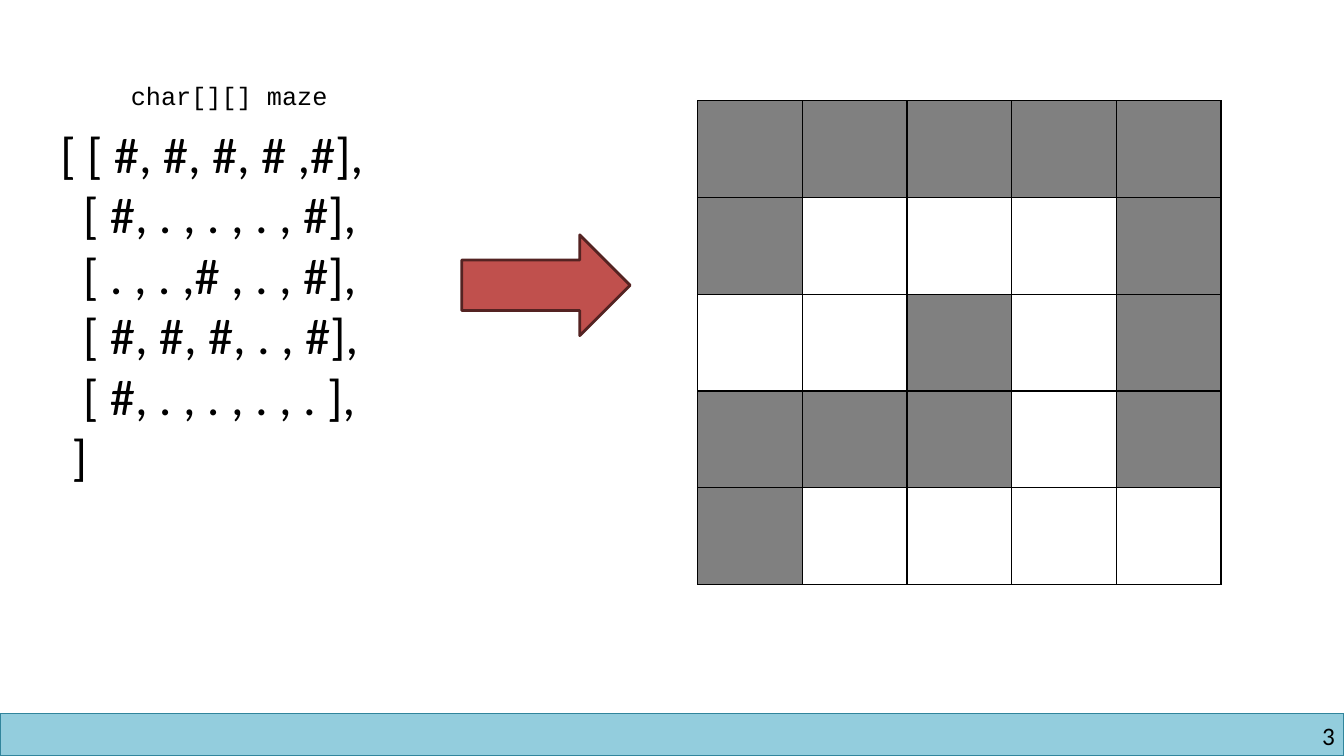
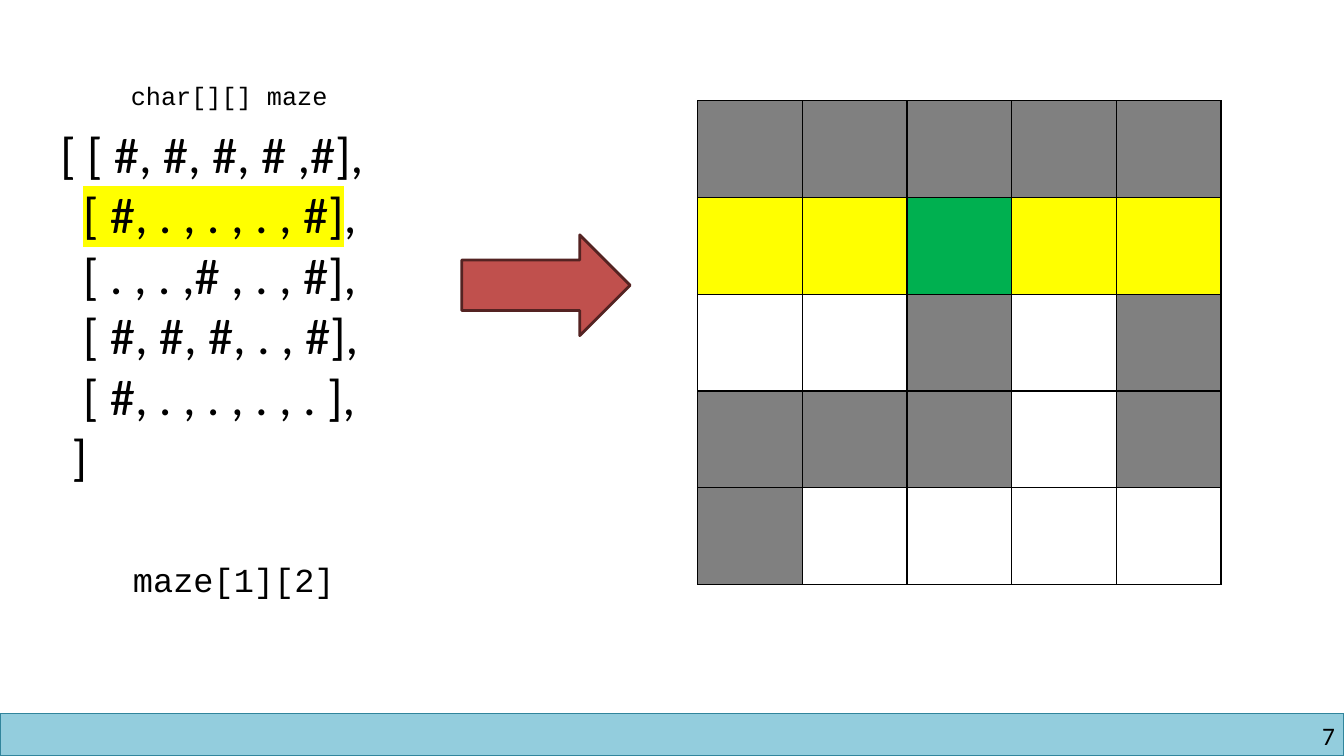
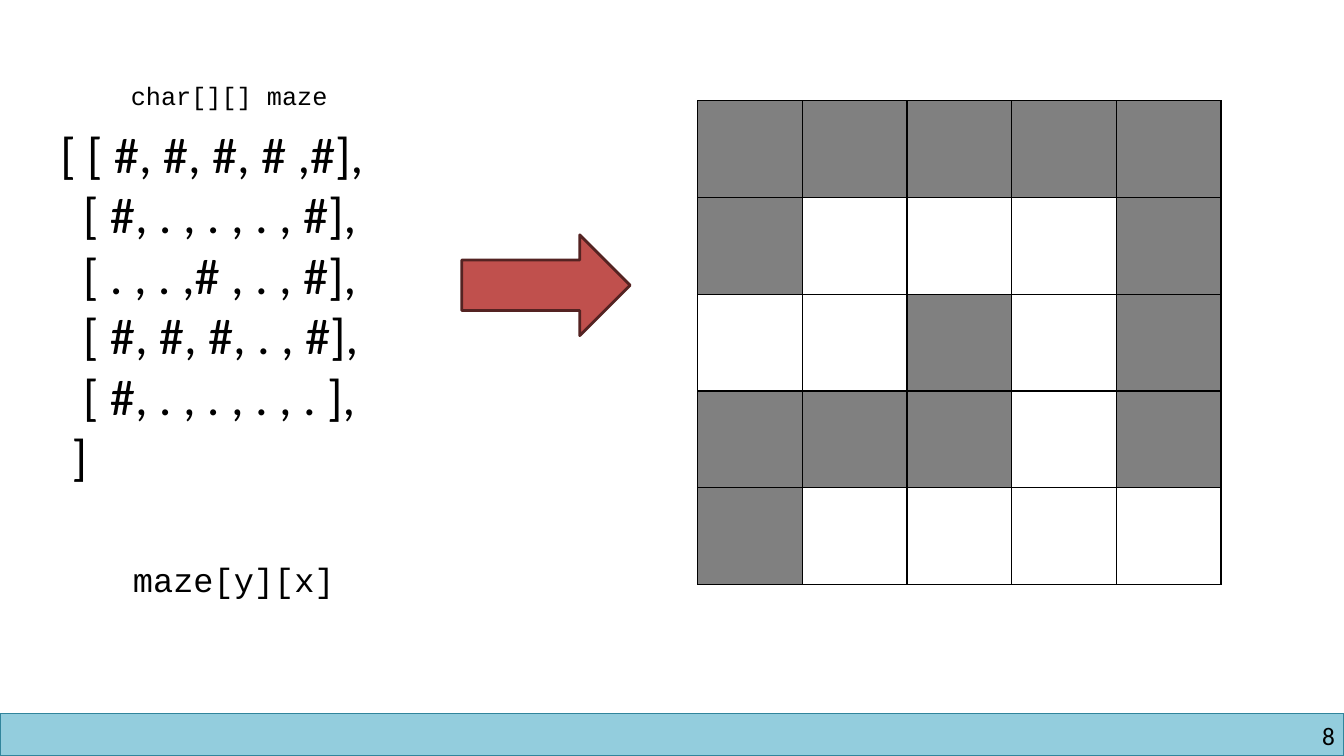
from dataclasses import dataclass
from typing import Optional

from lxml.etree import SubElement
from pptx import Presentation
from pptx.dml.color import RGBColor
from pptx.enum.shapes import MSO_SHAPE
from pptx.enum.text import MSO_AUTO_SIZE, PP_ALIGN
from pptx.oxml.ns import qn
from pptx.slide import Slide
from pptx.table import _Cell
from pptx.text.text import _Paragraph
from pptx.util import Inches, Pt

BLACK = "000000"
WHITE = "FFFFFF"
WALL = "808080"
YELLOW = "FFFF00"
GREEN = "00B050"
BAND_FILL = "93CDDD"
BAND_LINE = "31859C"
ARROW_FILL = "C0504D"
ARROW_LINE = "542322"
TEXT_FONT = "Calibri"
CODE_FONT = "Courier New"

SLIDE_WIDTH = 13.33
SLIDE_HEIGHT = 7.5
BAND_TOP = 7.08

CELL_COLOURS = {"#": WALL, ".": WHITE, "y": YELLOW, "g": GREEN}
MAZE = ("#####", "#...#", "..#.#", "###.#", "#....")
MARKED_ROW = 1
MARKED_MAZE = (*MAZE[:MARKED_ROW], "yygyy", *MAZE[MARKED_ROW + 1:])


@dataclass(frozen=True)
class Run:
    text: str
    highlight: Optional[str] = None


@dataclass(frozen=True)
class Box:
    left: float
    top: float
    width: float
    height: float

    def lengths(self) -> tuple:
        return tuple(Inches(value) for value in (self.left, self.top, self.width, self.height))


@dataclass(frozen=True)
class TextStyle:
    font: str
    size: int


@dataclass(frozen=True)
class MazeSlide:
    number: int
    maze: tuple[str, ...] = MAZE
    marked_row: Optional[int] = None
    access: Optional[str] = None


ARRAY_LINES = (
    (Run("[ [ #, #, #, # ,#],"),),
    (Run("  "), Run("[ #, . , . , . , #]"), Run(",")),
    (Run("  [ . , . ,# , . , #],"),),
    (Run("  [ #, #, #, . , #],"),),
    (Run("  [ #, . , . , . , . ],"),),
    (Run(" ]"),),
)

MAZE_SLIDES = (
    MazeSlide(3),
    MazeSlide(7, MARKED_MAZE, MARKED_ROW, "maze[1][2]"),
    MazeSlide(8, access="maze[y][x]"),
)


def colour(value: str) -> RGBColor:
    return RGBColor.from_string(value)


def add_run(paragraph: _Paragraph, content: Run, style: TextStyle) -> None:
    run = paragraph.add_run()
    run.text = content.text
    run.font.name = style.font
    run.font.size = Pt(style.size)
    run.font.color.rgb = colour(BLACK)
    if content.highlight:
        properties = run.font._element
        highlight = SubElement(properties, qn("a:highlight"))
        SubElement(highlight, qn("a:srgbClr"), val=content.highlight)
        properties.find(qn("a:solidFill")).addnext(highlight)


def add_text(slide: Slide, box: Box, lines: tuple, style: TextStyle) -> None:
    frame = slide.shapes.add_textbox(*box.lengths()).text_frame
    frame.word_wrap = False
    frame.auto_size = MSO_AUTO_SIZE.SHAPE_TO_FIT_TEXT
    for index, line in enumerate(lines):
        paragraph = frame.add_paragraph() if index else frame.paragraphs[0]
        for content in line:
            add_run(paragraph, content, style)


def add_filled_shape(slide: Slide, kind: MSO_SHAPE, box: Box,
                     fill: str, line: str, line_width: float) -> None:
    shape = slide.shapes.add_shape(kind, *box.lengths())
    shape.shadow.inherit = False
    shape.fill.solid()
    shape.fill.fore_color.rgb = colour(fill)
    shape.line.color.rgb = colour(line)
    shape.line.width = Pt(line_width)


def add_footer(slide: Slide, number: int) -> None:
    band = Box(0, BAND_TOP, SLIDE_WIDTH, SLIDE_HEIGHT - BAND_TOP)
    add_filled_shape(slide, MSO_SHAPE.RECTANGLE, band, BAND_FILL, BAND_LINE, 1)
    frame = slide.shapes.add_textbox(*Box(10.17, 7.15, 3.07, 0.3).lengths()).text_frame
    frame.word_wrap = True
    frame.margin_left = frame.margin_right = frame.margin_top = frame.margin_bottom = 0
    paragraph = frame.paragraphs[0]
    paragraph.alignment = PP_ALIGN.RIGHT
    add_run(paragraph, Run(str(number)), TextStyle(TEXT_FONT, 18))


def format_cell(cell: _Cell, fill: str) -> None:
    properties = cell._tc.get_or_add_tcPr()
    for side in ("a:lnL", "a:lnR", "a:lnT", "a:lnB"):
        border = SubElement(properties, qn(side), w=str(Pt(1)))
        solid = SubElement(border, qn("a:solidFill"))
        SubElement(solid, qn("a:srgbClr"), val=BLACK)
    cell.fill.solid()
    cell.fill.fore_color.rgb = colour(fill)


def add_maze(slide: Slide, maze: tuple[str, ...]) -> None:
    box = Box(6.92, 1, 5.19, 4.8)
    table = slide.shapes.add_table(len(maze), len(maze[0]), *box.lengths()).table
    table.first_row = False
    table.horz_banding = False
    for row_index, row in enumerate(maze):
        for column_index, symbol in enumerate(row):
            format_cell(table.cell(row_index, column_index), CELL_COLOURS[symbol])


def array_lines(marked_row: Optional[int]) -> tuple:
    return tuple(
        tuple(Run(run.text, YELLOW) if index == marked_row and run.text.strip(" ,") else run
              for run in line)
        for index, line in enumerate(ARRAY_LINES)
    )


def add_maze_slide(presentation: Presentation, content: MazeSlide) -> None:
    slide = presentation.slides.add_slide(presentation.slide_layouts[6])
    add_footer(slide, content.number)
    add_maze(slide, content.maze)
    add_text(slide, Box(0.5, 1.17, 3.57, 3.74), array_lines(content.marked_row),
             TextStyle(TEXT_FONT, 36))
    add_text(slide, Box(1.2, 0.75, 2.16, 0.4), ((Run("char[][] maze"),),),
             TextStyle(CODE_FONT, 18))
    add_filled_shape(slide, MSO_SHAPE.RIGHT_ARROW, Box(4.58, 2.33, 1.67, 1),
                     ARROW_FILL, ARROW_LINE, 2)
    if content.access:
        add_text(slide, Box(1.22, 5.5, 2.22, 0.5), ((Run(content.access),),),
                 TextStyle(CODE_FONT, 24))


def main() -> None:
    presentation = Presentation()
    presentation.slide_width = Inches(SLIDE_WIDTH)
    presentation.slide_height = Inches(SLIDE_HEIGHT)
    for content in MAZE_SLIDES:
        add_maze_slide(presentation, content)
    presentation.save("out.pptx")


if __name__ == "__main__":
    main()
